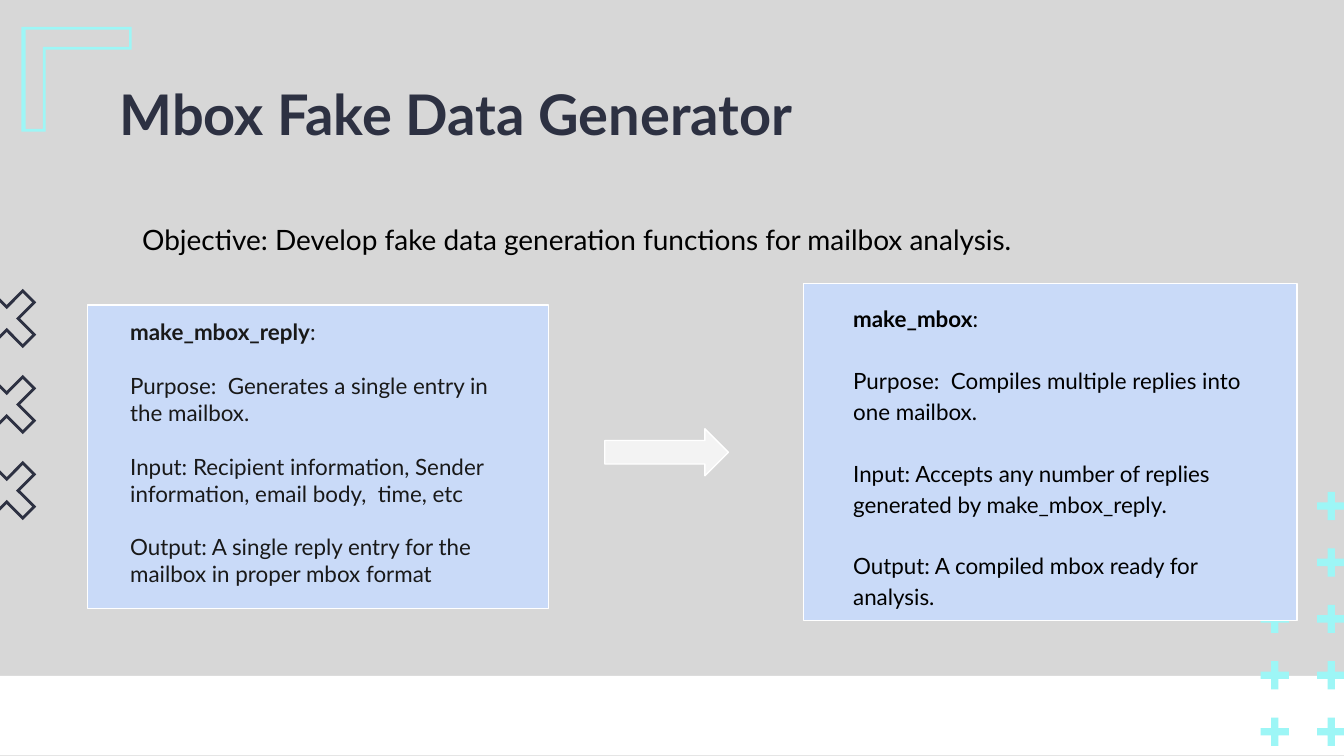
from dataclasses import dataclass

from pptx import Presentation
from pptx.dml.color import RGBColor
from pptx.enum.shapes import MSO_SHAPE
from pptx.enum.text import MSO_ANCHOR, MSO_AUTO_SIZE, PP_ALIGN
from pptx.shapes.autoshape import Shape
from pptx.slide import Slide
from pptx.text.text import TextFrame
from pptx.util import Inches, Pt

RECTANGLE = MSO_SHAPE.RECTANGLE
CROSS = MSO_SHAPE.CROSS
RIGHT_ARROW = MSO_SHAPE.RIGHT_ARROW
TOP = MSO_ANCHOR.TOP
LEFT = PP_ALIGN.LEFT
NO_AUTOFIT = MSO_AUTO_SIZE.NONE

FONT = "Lato"
LINE_HEIGHT = 1.2  # height of a single line of Lato, relative to its size
UNITS = 1000  # freeform units per inch, as freeform points are whole numbers
COLORS = {
    "background": "D7D7D7",
    "white": "FFFFFF",
    "navy": "2D3142",
    "cyan": "9DF6F6",
    "arrow": "F3F3F3",
    "panel": "C9DAF8",
    "charcoal": "191919",
    "black": "000000",
}

Point = tuple[float, float]


@dataclass
class Box:
    left: float
    top: float
    width: float
    height: float

    def lengths(self) -> list[Inches]:
        return [Inches(v) for v in (self.left, self.top, self.width, self.height)]


@dataclass
class TextStyle:
    size: float
    color: str
    line_spacing: float = 1.0
    space_before: float = 0


@dataclass
class FunctionPanel:
    panel: Box
    text: Box
    color: str
    line_spacing: float
    name: str
    details: list[str]


PANELS = [
    FunctionPanel(
        Box(0.65, 2.27, 3.43, 2.26), Box(0.87, 2.27, 2.95, 2), "charcoal", 1.0,
        "make_mbox_reply",
        ["Purpose:  Generates a single entry in the mailbox.",
         "Input: Recipient information, Sender information, email body,  time, etc",
         "Output: A single reply entry for the mailbox in proper mbox format"],
    ),
    FunctionPanel(
        Box(5.98, 2.11, 3.67, 2.51), Box(6.25, 2.14, 3.13, 2.26), "black", 1.15,
        "make_mbox",
        ["Purpose:  Compiles multiple replies into one mailbox.",
         "Input: Accepts any number of replies generated by make_mbox_reply.",
         "Output: A compiled mbox ready for analysis."],
    ),
]


def rgb(name: str) -> RGBColor:
    return RGBColor.from_string(COLORS[name])


def paint(shape: Shape, fill: str, line: str | None = None) -> None:
    shape.shadow.inherit = False
    shape.fill.solid()
    shape.fill.fore_color.rgb = rgb(fill)
    if line:
        shape.line.color.rgb = rgb(line)
        shape.line.width = Pt(0.75)
    else:
        shape.line.fill.background()


def add_preset(slide: Slide, preset: MSO_SHAPE, box: Box, fill: str,
               line: str | None = None) -> Shape:
    shape = slide.shapes.add_shape(preset, *box.lengths())
    paint(shape, fill, line)
    return shape


def add_outline(slide: Slide, contours: list[list[Point]], fill: str) -> None:
    """Fill the area between nested contours, given in inches."""
    scaled = [[(x * UNITS, y * UNITS) for x, y in contour] for contour in contours]
    builder = slide.shapes.build_freeform(*scaled[0][0], scale=Inches(1) / UNITS)
    for index, contour in enumerate(scaled):
        if index:
            builder.move_to(*contour[0])
        builder.add_line_segments(contour[1:], close=True)
    paint(builder.convert_to_shape(), fill)


def diagonal_cross(center: Point, notch: float, near: float, far: float) -> list[Point]:
    """Turn one notch and one arm end through four quarter turns."""
    quarter = [(0, -notch), (near, -far), (far, -near)]
    points = []
    for _ in range(4):
        points += [(center[0] + x, center[1] + y) for x, y in quarter]
        quarter = [(-y, x) for x, y in quarter]
    return points


def prepare_frame(frame: TextFrame) -> None:
    frame.word_wrap = True
    frame.auto_size = NO_AUTOFIT
    frame.vertical_anchor = TOP
    frame.margin_left = frame.margin_right = Inches(0.1)
    frame.margin_top = frame.margin_bottom = Inches(0.1)


def write_paragraph(frame: TextFrame, runs: list[tuple[str, bool]],
                    style: TextStyle, first: bool = True) -> None:
    paragraph = frame.paragraphs[0] if first else frame.add_paragraph()
    paragraph.alignment = LEFT
    paragraph.line_spacing = style.line_spacing
    paragraph.space_before = Pt(style.space_before)
    for text, bold in runs:
        run = paragraph.add_run()
        run.text = text
        run.font.name = FONT
        run.font.size = Pt(style.size)
        run.font.bold = bold
        run.font.color.rgb = rgb(style.color)


def add_text_frame(slide: Slide, box: Box) -> TextFrame:
    frame = slide.shapes.add_textbox(*box.lengths()).text_frame
    prepare_frame(frame)
    return frame


def add_function_panel(slide: Slide, item: FunctionPanel) -> None:
    add_preset(slide, RECTANGLE, item.panel, "panel", "white")
    frame = add_text_frame(slide, item.text)
    size = 12
    heading = TextStyle(size, item.color, item.line_spacing)
    gap = round(size * LINE_HEIGHT * item.line_spacing, 1)
    detail_style = TextStyle(size, item.color, item.line_spacing, gap)
    write_paragraph(frame, [(item.name, True), (":", False)], heading)
    for detail in item.details:
        write_paragraph(frame, [(detail, False)], detail_style, first=False)


def add_decoration(slide: Slide) -> None:
    # Bottom band
    add_preset(slide, RECTANGLE, Box(0, 5.03, 10, 0.59), "white")

    # Column of diagonal crosses on the left edge
    crosses = []
    for row in range(3):
        center = (0.05, 2.37 + 0.64 * row)
        crosses.append(diagonal_cross(center, 0.1, 0.12, 0.22))
        crosses.append(diagonal_cross(center, 0.07, 0.12, 0.19))
    add_outline(slide, crosses, "navy")

    # Corner bracket
    outer = [(0.98, 0.2), (0.16, 0.2), (0.16, 0.98),
             (0.34, 0.98), (0.34, 0.37), (0.98, 0.37)]
    inner = [(0.96, 0.22), (0.19, 0.22), (0.19, 0.96),
             (0.32, 0.96), (0.32, 0.35), (0.96, 0.35)]
    add_outline(slide, [outer, inner], "cyan")

    # Grid of plus signs: the left column starts two rows lower
    for left, first_row in ((9.8, 0), (9.38, 2)):
        for row in range(first_row, 5):
            plus = add_preset(slide, CROSS, Box(left, 3.66 + 0.42 * row, 0.21, 0.21), "cyan")
            plus.adjustments[0] = 0.37


def main() -> None:
    presentation = Presentation()
    presentation.slide_width = Inches(10)
    presentation.slide_height = Inches(10) * 9 // 16
    slide = presentation.slides.add_slide(presentation.slide_layouts[5])
    slide.background.fill.solid()
    slide.background.fill.fore_color.rgb = rgb("background")

    add_decoration(slide)

    # Title
    title = slide.shapes.title
    title.left, title.top, title.width, title.height = Box(0.79, 0.49, 8.43, 0.63).lengths()
    prepare_frame(title.text_frame)
    write_paragraph(title.text_frame, [("Mbox Fake Data Generator", True)], TextStyle(30, "navy"))

    # Objective
    objective = "Objective: Develop fake data generation functions for mailbox analysis."
    frame = add_text_frame(slide, Box(0.96, 1.52, 7.48, 3.19))
    write_paragraph(frame, [(objective, False)], TextStyle(15, "black", 1.15))

    # Function panels and the arrow between them
    add_preset(slide, RIGHT_ARROW, Box(4.5, 3.19, 0.92, 0.35), "arrow", "white")
    for item in PANELS:
        add_function_panel(slide, item)

    presentation.save("out.pptx")


if __name__ == "__main__":
    main()
